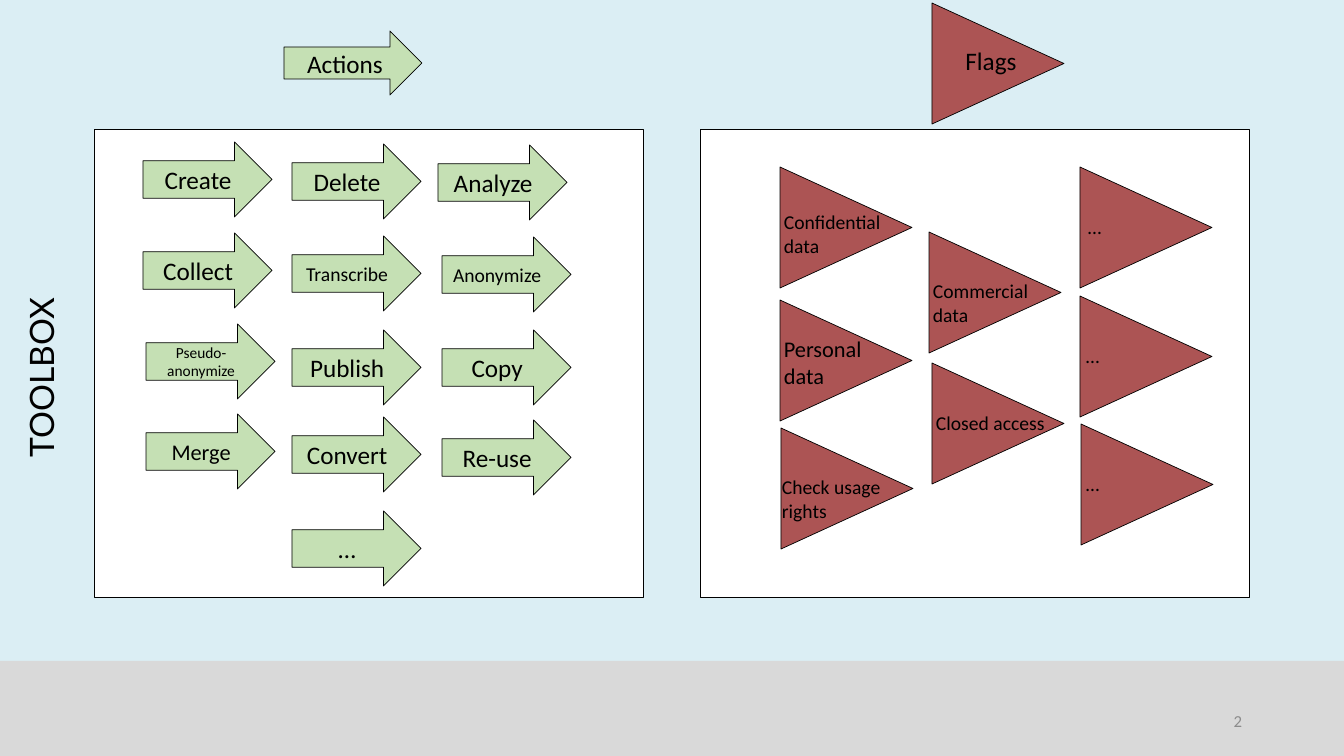
import pptx
import pptx.util
import pptx.dml.color
import pptx.enum.shapes
import pptx.enum.text
from dataclasses import dataclass

SHAPE = pptx.enum.shapes.MSO_SHAPE
ALIGN = pptx.enum.text.PP_ALIGN
ANCHOR = pptx.enum.text.MSO_ANCHOR
FIT = pptx.enum.text.MSO_AUTO_SIZE

WIDE, HIGH = 1344, 756
SCALE = 12192000 / WIDE


@dataclass(frozen=True)
class Theme:
    sky: str = "DBEEF4"
    band: str = "D9D9D9"
    panel: str = "FFFFFF"
    green: str = "C5E0B4"
    red: str = "AC5454"
    ink: str = "000000"
    faint: str = "8C8C8C"
    body: str = "Calibri"
    head: str = "Lato"
    tiny: int = 11
    page: int = 12
    small: int = 14
    mid: int = 16
    large: int = 18
    title: int = 24
    rule: float = 0.5


def emu(px):
    return round(px * SCALE)


def color(code):
    return pptx.dml.color.RGBColor.from_string(code)


class Board:
    def __init__(self, slide, theme):
        self.slide = slide
        self.theme = theme
        fill = slide.background.fill
        fill.solid()
        fill.fore_color.rgb = color(theme.sky)

    def shape(self, kind, box, fill, lined=True):
        item = self.slide.shapes.add_shape(kind, *map(emu, box))
        item.shadow.inherit = False
        item.fill.solid()
        item.fill.fore_color.rgb = color(fill)
        if lined:
            item.line.color.rgb = color(self.theme.ink)
            item.line.width = pptx.util.Pt(self.theme.rule)
        else:
            item.line.fill.background()
        return item

    def letter(self, item, text, size, align=ALIGN.LEFT, font=None, ink=None):
        """Set the text of an item and style its runs."""
        frame = item.text_frame
        frame.word_wrap = True
        frame.text = text
        for para in frame.paragraphs:
            para.alignment = align
            for run in para.runs:
                run.font.name = font or self.theme.body
                run.font.size = pptx.util.Pt(size)
                run.font.color.rgb = color(ink or self.theme.ink)
        return frame

    def label(self, box, text, size, **style):
        item = self.slide.shapes.add_textbox(*map(emu, box))
        self.letter(item, text, size, **style)
        return item

    def arrow(self, box, text, size):
        item = self.shape(SHAPE.RIGHT_ARROW, box, self.theme.green)
        frame = self.letter(item, text, size, ALIGN.CENTER)
        frame.vertical_anchor = ANCHOR.MIDDLE

    def flag(self, x, y, text, size, dx, dy, high, wide=138, align=ALIGN.LEFT):
        """Put a flag with its drawn corner at x, y and its label dx, dy away."""
        base, tall = 121, 132
        turn = (tall - base) / 2
        item = self.shape(SHAPE.ISOSCELES_TRIANGLE,
                          (x + turn, y - turn, base, tall), self.theme.red)
        item.rotation = 90
        note = self.label((x + dx, y + dy, wide, high), text, size, align=align)
        note.text_frame.auto_size = FIT.SHAPE_TO_FIT_TEXT

    def frame(self):
        """Draw the footer band, both panels, the side title and page number."""
        look = self.theme
        self.shape(SHAPE.RECTANGLE, (0, 661, WIDE, 95), look.band, lined=False)
        for x in (94, 700):
            self.shape(SHAPE.RECTANGLE, (x, 129, 549, 468), look.panel)
        side = self.label((-182, 356, 454, 43), "TOOLBOX", look.title,
                          align=ALIGN.CENTER, font=look.head)
        side.rotation = 270
        side.text_frame.paragraphs[0].line_spacing = 0.8
        page = self.label((950, 701, 302, 40), "2", look.page,
                          align=ALIGN.RIGHT, ink=look.faint)
        page.text_frame.vertical_anchor = ANCHOR.MIDDLE


def main():
    deck = pptx.Presentation()
    deck.slide_width, deck.slide_height = emu(WIDE), emu(HIGH)
    look = Theme()
    board = Board(deck.slides.add_slide(deck.slide_layouts[6]), look)
    board.frame()

    board.arrow((284, 31, 138, 64), "Actions", look.large)
    tools = [
        (143, 142, "Create", look.large),
        (143, 233, "Collect", look.large),
        (146, 324, "Pseudo-anonymize", look.tiny),
        (146, 414, "Merge", look.mid),
        (292, 144, "Delete", look.large),
        (292, 236, "Transcribe", look.small),
        (292, 330, "Publish", look.large),
        (292, 417, "Convert", look.large),
        (292, 511, "…", look.large),
        (438, 145, "Analyze", look.large),
        (442, 237, "Anonymize", look.small),
        (442, 330, "Copy", look.large),
        (442, 420, "Re-use", look.large),
    ]
    for x, y, text, size in tools:
        board.arrow((x, y, 129, 75), text, size)

    board.flag(932, 3, "Flags", look.large, -10, 37, 40, align=ALIGN.CENTER)
    board.flag(780, 167, "Confidential data", look.small, -6, 38, 57)
    board.flag(780, 300, "Personal data", look.mid, -6, 30, 64)
    board.flag(781, 428, "Check usage rights", look.small, -9, 42, 57)
    board.flag(929, 232, "Commercial\ndata", look.small, -6, 42, 57)
    board.flag(932, 363, "Closed access", look.small, -6, 43, 34, wide=143)
    for x, y, dx in ((1080, 167, -2), (1080, 296, -4), (1081, 424, -5)):
        board.flag(x, y, "…", look.small, dx, 43, 34, wide=143)

    deck.save("out.pptx")


if __name__ == "__main__":
    main()
